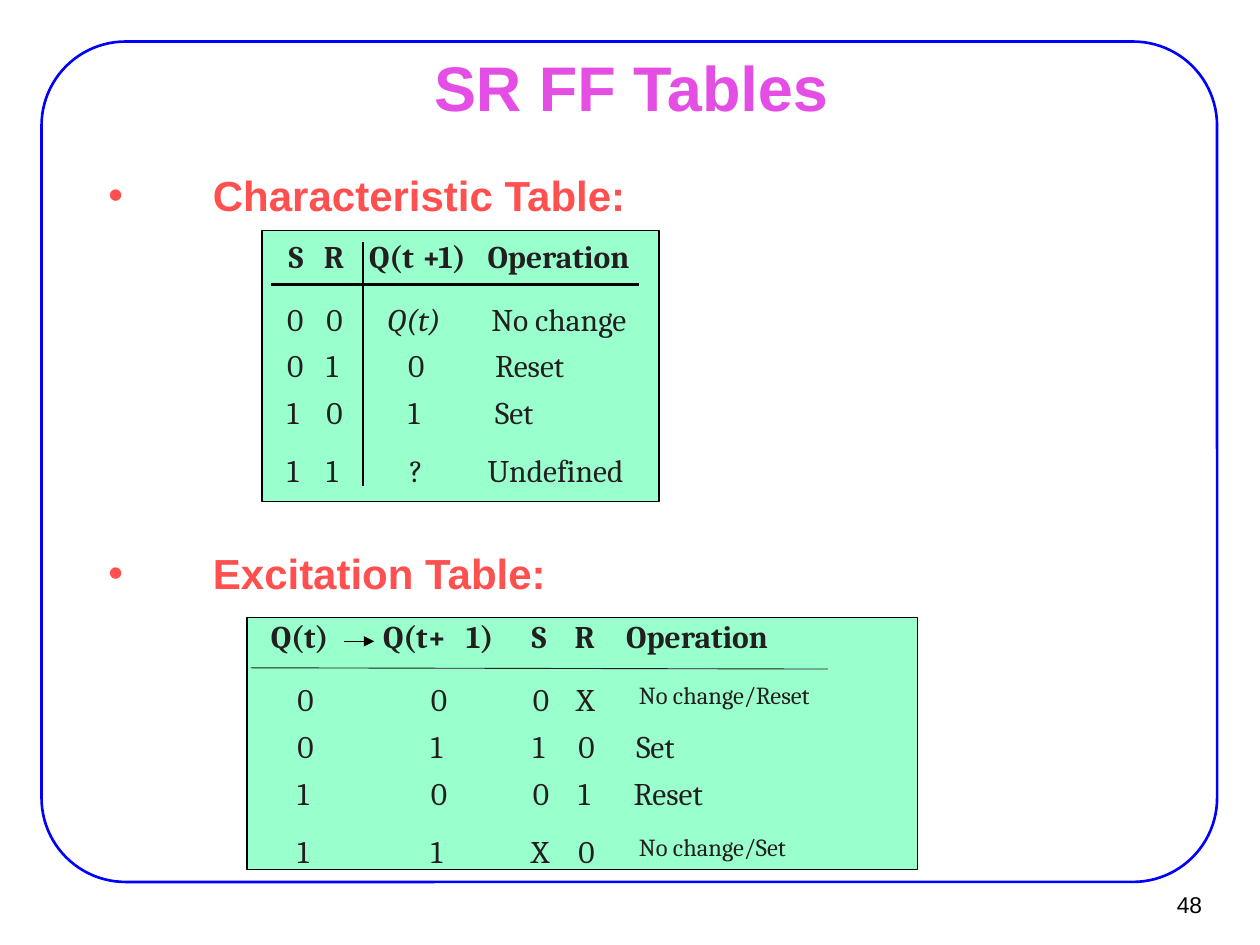
from lxml.etree import SubElement
from pptx import Presentation
from pptx.dml.color import RGBColor
from pptx.enum.shapes import MSO_CONNECTOR, MSO_SHAPE
from pptx.enum.text import MSO_ANCHOR, MSO_AUTO_SIZE, PP_ALIGN
from pptx.oxml.ns import qn
from pptx.util import Inches, Pt

COLORS = {"frame": "0000FF", "title": "E44EE4", "heading": "FF5050",
          "panel": "99FFCC", "ink": "231F20", "black": "000000"}
ROW_STEPS = (0.5, 0.87, 1.24, 1.7)
TEXT_WIDTHS = {"0": 0.14, "1": 0.14, "+": 0.14, "?": 0.12, "X": 0.17, "S": 0.15,
               "R": 0.18, "1)": 0.24, "Q(t": 0.4, "Q(t)": 0.48, "Q(t+": 0.54,
               "Operation": 1.29, "No change": 1.25, "Reset": 0.63, "Set": 0.36,
               "Undefined": 1.24, "No change/Reset": 2.04, "No change/Set": 1.98}


def rgb(name):
    """Return the named palette colour."""
    return RGBColor.from_string(COLORS[name])


def style(frame, size, color, font="Arial", bold=False, italic=False):
    """Format every run of a text frame."""
    for paragraph in frame.paragraphs:
        for run in paragraph.runs:
            run.font.name, run.font.size = font, Pt(size)
            run.font.bold, run.font.italic = bold, italic
            run.font.color.rgb = rgb(color)


def set_insets(frame, horizontal, vertical):
    """Set equal side insets and equal top and bottom insets."""
    frame.margin_left = frame.margin_right = Inches(horizontal)
    frame.margin_top = frame.margin_bottom = Inches(vertical)


def add_outline(slide, preset, box, color, width, fill=None):
    """Add a preset shape with an outline and an optional fill."""
    outline = slide.shapes.add_shape(preset, *map(Inches, box))
    outline.shadow.inherit = False
    outline.line.color.rgb = rgb(color)
    outline.line.width = Pt(width)
    if fill:
        outline.fill.solid()
        outline.fill.fore_color.rgb = rgb(fill)
    else:
        outline.fill.background()
    return outline


def add_rule(slide, box, start, end, color, width, arrow=False):
    """Draw a line between two points measured from the box corner."""
    left, top = box[:2]
    rule = slide.shapes.add_connector(
        MSO_CONNECTOR.STRAIGHT, Inches(left + start[0]), Inches(top + start[1]),
        Inches(left + end[0]), Inches(top + end[1]))
    rule.line.color.rgb = rgb(color)
    rule.line.width = Pt(width)
    if arrow:
        SubElement(rule.line._get_or_add_ln(), qn("a:tailEnd"), type="triangle")
    SubElement(rule._element.spPr, qn("a:effectLst"))


def add_entry(slide, text, left, top, size=18, bold=False, italic=False):
    """Place one table entry with its left top corner at the point."""
    entry = slide.shapes.add_textbox(Inches(left), Inches(top),
                                     Inches(TEXT_WIDTHS[text]), Inches(size / 60))
    frame = entry.text_frame
    frame.text = text
    frame.word_wrap = False
    frame.auto_size = MSO_AUTO_SIZE.SHAPE_TO_FIT_TEXT
    set_insets(frame, 0, 0)
    style(frame, size, "ink", "Cambria", bold, italic)


def add_truth_table(slide, box, header_top, headers, columns, operations):
    """Fill a panel with headers, centred state columns and operations."""
    left, top = box[:2]
    add_outline(slide, MSO_SHAPE.RECTANGLE, box, "black", 0.75, "panel")
    first = top + header_top
    for text, offset in headers:
        add_entry(slide, text, left + offset, first, bold=True)
    for center, values in columns:
        for value, step in zip(values, ROW_STEPS):
            add_entry(slide, value, left + center - TEXT_WIDTHS[value] / 2,
                      first + step, italic=value.startswith("Q"))
    for (text, offset, size), step in zip(operations, ROW_STEPS):
        add_entry(slide, text, left + offset, first + step, size)


def add_characteristic_table(slide, box):
    """Build the table giving the next state for each input pair."""
    add_truth_table(
        slide, box, 0.05,
        [("S", 0.21), ("R", 0.49), ("Q(t", 0.85), ("+", 1.27), ("1)", 1.4),
         ("Operation", 1.79)],
        [(0.27, "0011"), (0.58, "0101"), (1.23, ["Q(t)", "0", "1", "?"])],
        [("No change", 1.82, 18), ("Reset", 1.85, 18), ("Set", 1.85, 18),
         ("Undefined", 1.79, 18)])
    add_rule(slide, box, (0.07, 0.43), (2.99, 0.43), "black", 1.5)
    add_rule(slide, box, (0.8, 0.09), (0.8, 2.03), "black", 1.5)


def add_excitation_table(slide, box):
    """Build the table giving the inputs for each state change."""
    add_truth_table(
        slide, box, 0,
        [("Q(t)", 0.19), ("Q(t+", 1.08), ("1)", 1.74), ("S", 2.26), ("R", 2.6),
         ("Operation", 3.01)],
        [(0.47, "0011"), (1.53, "0101"), (2.34, "010X"), (2.7, "X010")],
        [("No change/Reset", 3.11, 14), ("Set", 3.09, 18), ("Reset", 3.07, 18),
         ("No change/Set", 3.11, 14)])
    add_rule(slide, box, (0.03, 0.4), (4.61, 0.41), "ink", 0.5)
    add_rule(slide, box, (0.77, 0.19), (1.01, 0.19), "black", 0.75, arrow=True)


def add_heading(slide, box, text):
    """Add a bulleted section heading."""
    frame = slide.shapes.add_textbox(*map(Inches, box)).text_frame
    frame.text = text
    frame.word_wrap = True
    set_insets(frame, 0.11, 0.06)
    style(frame, 24, "heading", bold=True)
    paragraph = frame.paragraphs[0]
    paragraph.line_spacing, paragraph.space_before = 0.9, Pt(6)
    properties = paragraph._p.get_or_add_pPr()
    properties.set("marL", str(Inches(0.83)))
    properties.set("indent", str(-Inches(0.83)))
    bullet_color = SubElement(properties, qn("a:buClr"))
    SubElement(bullet_color, qn("a:srgbClr"), val=COLORS["heading"])
    SubElement(properties, qn("a:buFont"), typeface="Arial")
    SubElement(properties, qn("a:buChar"), char="•")


def place_title(slide, box, text):
    """Move and format the title placeholder."""
    title = slide.shapes.title
    title.left, title.top, title.width, title.height = map(Inches, box)
    frame = title.text_frame
    frame.text = text
    frame.word_wrap = True
    frame.auto_size = MSO_AUTO_SIZE.NONE
    frame.vertical_anchor = MSO_ANCHOR.MIDDLE
    frame.paragraphs[0].alignment = PP_ALIGN.CENTER
    set_insets(frame, 0.11, 0.06)
    style(frame, 36, "title", bold=True)


def add_page_number(slide, box, number):
    """Add the right-aligned page number."""
    frame = slide.shapes.add_textbox(*map(Inches, box)).text_frame
    frame.text = number
    frame.word_wrap = True
    frame.vertical_anchor = MSO_ANCHOR.MIDDLE
    frame.paragraphs[0].alignment = PP_ALIGN.RIGHT
    set_insets(frame, 0.09, 0.04)
    style(frame, 13, "black")


def main():
    """Build the slide and save it."""
    deck = Presentation()
    deck.slide_width, deck.slide_height = Inches(10), Inches(7.5)
    slide = deck.slides.add_slide(deck.slide_layouts[5])
    frame = add_outline(slide, MSO_SHAPE.ROUNDED_RECTANGLE,
                        (0.33, 0.33, 9.33, 6.67), "frame", 1.5)
    frame.adjustments[0] = 0.1
    place_title(slide, (0.76, 0.44, 8.5, 0.49), "SR FF Tables")
    add_heading(slide, (0.75, 1.33, 7.32, 0.76), "Characteristic Table:")
    add_characteristic_table(slide, (2.08, 1.83, 3.15, 2.15))
    add_heading(slide, (0.75, 4.33, 7.32, 0.76), "Excitation Table:")
    add_excitation_table(slide, (1.96, 4.9, 5.32, 2))
    add_page_number(slide, (9.02, 6.99, 0.61, 0.37), "48")
    deck.save("out.pptx")


if __name__ == "__main__":
    main()
